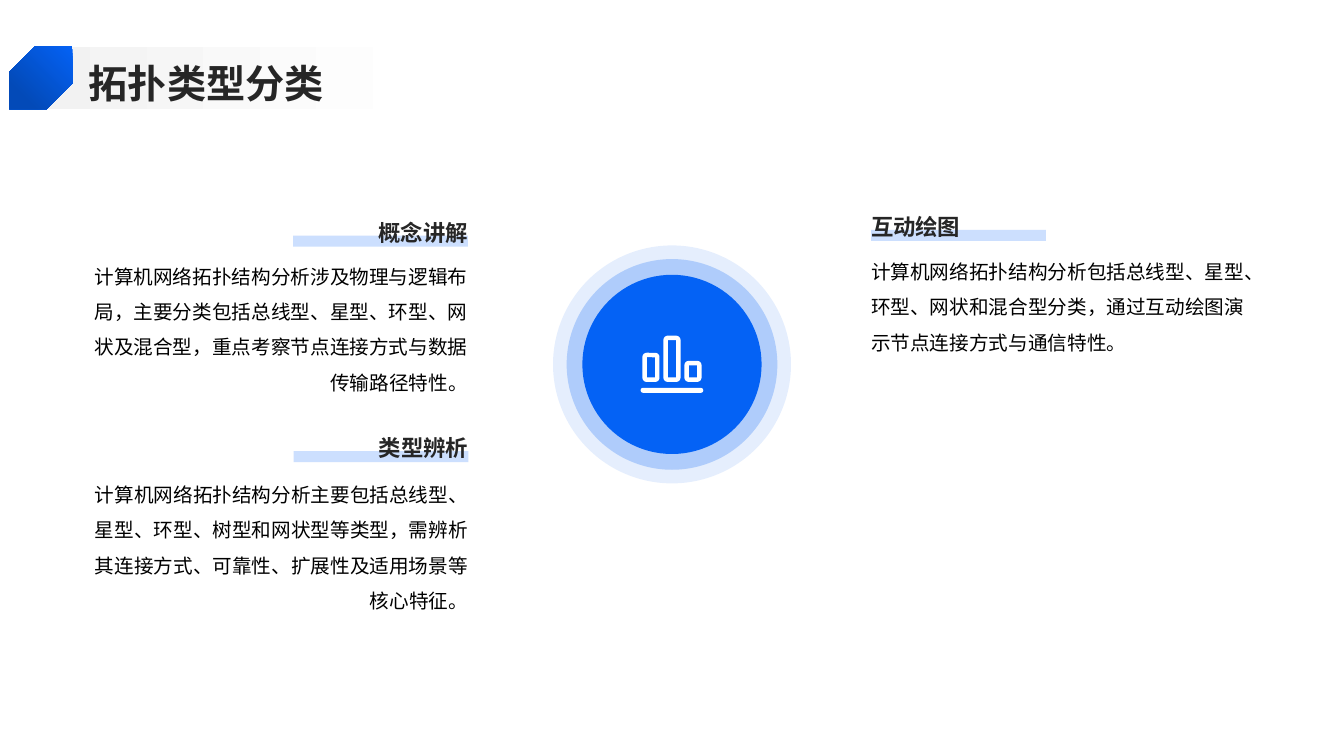
from lxml.etree import SubElement
from pptx import Presentation
from pptx.dml.color import RGBColor
from pptx.enum.shapes import MSO_SHAPE
from pptx.enum.text import MSO_ANCHOR, PP_ALIGN
from pptx.oxml.ns import qn
from pptx.util import Pt

FONT = "Noto Sans CJK SC"
BLUE = RGBColor(0x04, 0x62, 0xF5)
DARK_BLUE = RGBColor(0x03, 0x4A, 0xB8)
PALE_BLUE = RGBColor(0xCC, 0xDF, 0xFE)
LIGHT_GRAY = RGBColor(0xF2, 0xF2, 0xF2)
WHITE = RGBColor(0xFF, 0xFF, 0xFF)
BLACK = RGBColor(0, 0, 0)
CHARCOAL = RGBColor(0x26, 0x26, 0x26)

presentation = Presentation()
presentation.slide_width = Pt(960)
presentation.slide_height = Pt(540)
slide = presentation.slides.add_slide(presentation.slide_layouts[6])


def add_text(text, left, top, width, height, size=14, color=BLACK, bold=False,
             align=PP_ALIGN.LEFT, anchor=MSO_ANCHOR.TOP, spacing=1.5):
    box = slide.shapes.add_textbox(Pt(left), Pt(top), Pt(width), Pt(height))
    frame = box.text_frame
    frame.word_wrap = True
    frame.vertical_anchor = anchor
    frame.margin_left = frame.margin_right = frame.margin_top = frame.margin_bottom = 0
    paragraph = frame.paragraphs[0]
    paragraph.alignment = align
    paragraph.line_spacing = spacing
    run = paragraph.add_run()
    run.text = text
    run.font.name = FONT
    run.font.size = Pt(size)
    run.font.bold = bold
    run.font.color.rgb = color
    SubElement(run.font._element, qn("a:ea"), typeface=FONT)


def add_filled(kind, left, top, width, height, colors, angle=0, opacity=100):
    """Add a borderless shape; two colors make a gradient that ends at 80%."""
    shape = slide.shapes.add_shape(kind, Pt(left), Pt(top), Pt(width), Pt(height))
    shape.shadow.inherit = False
    shape.line.fill.background()
    if len(colors) == 2:
        shape.fill.gradient()
        shape.fill.gradient_angle = angle
        for stop, color, position in zip(shape.fill.gradient_stops, colors, (0, 0.8)):
            stop.color.rgb = color
            stop.position = position
    else:
        shape.fill.solid()
        shape.fill.fore_color.rgb = colors[0]
    if opacity < 100:
        color_element = shape._element.spPr.find(qn("a:solidFill"))[0]
        SubElement(color_element, qn("a:alpha"), val=str(opacity * 1000))
    return shape


# Title band
add_filled(MSO_SHAPE.RECTANGLE, 23.8, 33.5, 354, 44.6, (LIGHT_GRAY, WHITE))
title_mark = add_filled(MSO_SHAPE.SNIP_2_DIAG_RECTANGLE, 6.8, 33, 45, 45,
                        (BLUE, DARK_BLUE), angle=225)
title_mark.adjustments[0] = 0.408
title_mark.adjustments[1] = 0
add_text("拓扑类型分类", 63.4, 38.9, 855, 36.7, size=28, color=CHARCOAL, bold=True,
         anchor=MSO_ANCHOR.MIDDLE, spacing=1.1)

# Sections: heading, text, left, heading top, body top, body height, alignment
COLUMN_WIDTH = 269.3
UNDERLINE_WIDTH = 124.8
sections = [
    ("概念讲解",
     "计算机网络拓扑结构分析涉及物理与逻辑布局，主要分类包括总线型、星型、环型、网状及混合型，"
     "重点考察节点连接方式与数据传输路径特性。",
     64.9, 141.8, 180.7, 108.7, PP_ALIGN.RIGHT),
    ("类型辨析",
     "计算机网络拓扑结构分析主要包括总线型、星型、环型、树型和网状型等类型，"
     "需辨析其连接方式、可靠性、扩展性及适用场景等核心特征。",
     65.2, 295.7, 336.6, 108.7, PP_ALIGN.RIGHT),
    ("互动绘图",
     "计算机网络拓扑结构分析包括总线型、星型、环型、网状和混合型分类，"
     "通过互动绘图演示节点连接方式与通信特性。",
     622.2, 137.7, 177.3, 212.4, PP_ALIGN.LEFT),
]
for heading, body, left, heading_top, body_top, body_height, align in sections:
    underline_left = left
    if align == PP_ALIGN.RIGHT:
        underline_left += COLUMN_WIDTH - UNDERLINE_WIDTH
    add_filled(MSO_SHAPE.RECTANGLE, underline_left, heading_top + 26.5,
               UNDERLINE_WIDTH, 7.9, (PALE_BLUE,))
    add_text(heading, left, heading_top, COLUMN_WIDTH, 33.8, size=16, color=CHARCOAL,
             bold=True, align=align, anchor=MSO_ANCHOR.BOTTOM)
    add_text(body, left, body_top, COLUMN_WIDTH, body_height, align=align)

# Concentric circles
CENTER_X, CENTER_Y = 480, 260.3
for diameter, opacity in ((170, 10), (150.5, 24), (128, 100)):
    add_filled(MSO_SHAPE.OVAL, CENTER_X - diameter / 2, CENTER_Y - diameter / 2,
               diameter, diameter, (BLUE,), opacity=opacity)

# Bar chart icon
BAR_WIDTH, BAR_STEP, BAR_BOTTOM = 9, 15, 271.2
for index, height in enumerate((17.6, 29.8, 11.8)):
    bar = add_filled(MSO_SHAPE.ROUNDED_RECTANGLE,
                     CENTER_X + (index - 1) * BAR_STEP - BAR_WIDTH / 2,
                     BAR_BOTTOM - height, BAR_WIDTH, height, (BLUE,))
    bar.adjustments[0] = 0.16
    bar.fill.background()
    bar.line.color.rgb = WHITE
    bar.line.width = Pt(3.2)
baseline = add_filled(MSO_SHAPE.ROUNDED_RECTANGLE, CENTER_X - 22.4, 277, 44.8, 3.6, (WHITE,))
baseline.adjustments[0] = 0.5

presentation.save("out.pptx")
